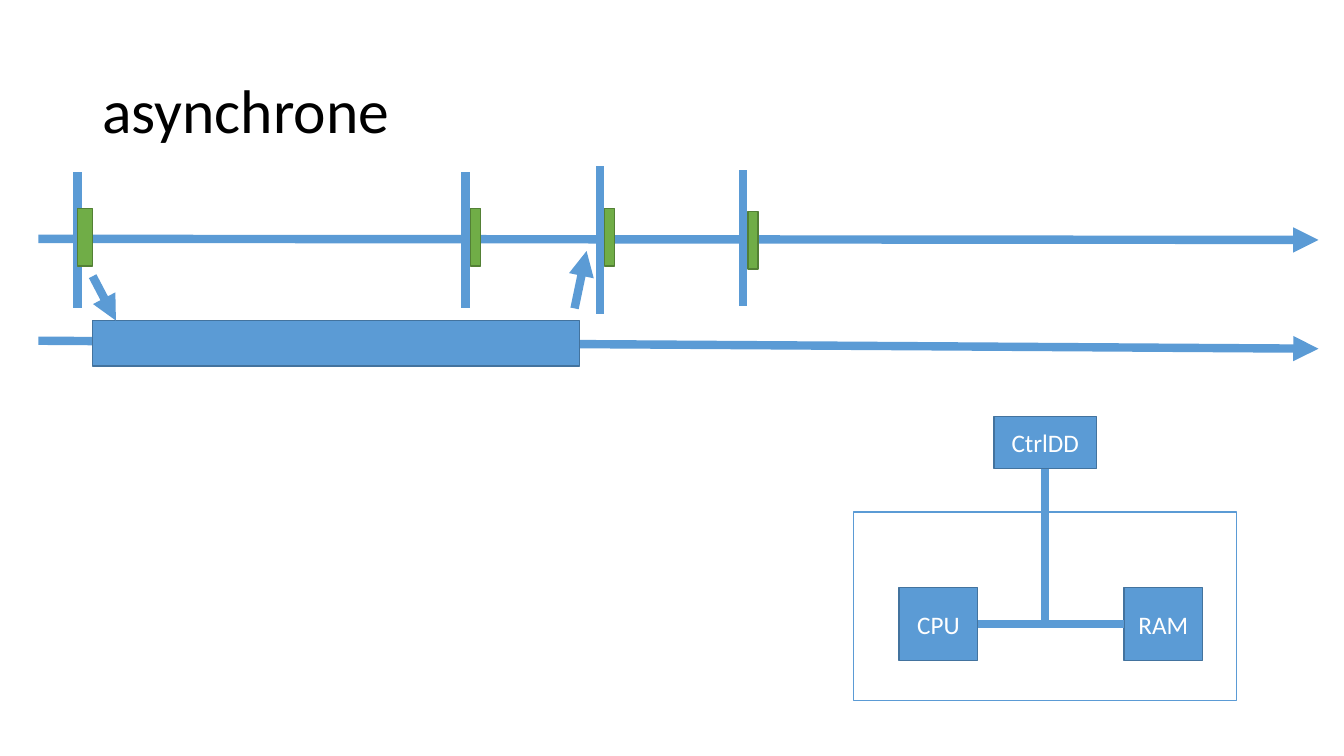
from dataclasses import dataclass

from lxml import etree
from pptx import Presentation
from pptx.dml.color import RGBColor
from pptx.enum.shapes import MSO_CONNECTOR, MSO_SHAPE
from pptx.enum.text import MSO_ANCHOR, PP_ALIGN
from pptx.oxml.ns import qn
from pptx.slide import Slide
from pptx.text.text import TextFrame
from pptx.util import Pt

RECTANGLE = MSO_SHAPE.RECTANGLE
STRAIGHT = MSO_CONNECTOR.STRAIGHT
MIDDLE = MSO_ANCHOR.MIDDLE
LEFT, CENTER = PP_ALIGN.LEFT, PP_ALIGN.CENTER

FONT = "Calibri"
BLACK, WHITE = "000000", "FFFFFF"
BLUE, DARK_BLUE = "5B9BD5", "43739E"
GREEN, DARK_GREEN = "70AD47", "538035"


@dataclass
class Block:
    left: float
    top: float
    width: float
    height: float
    label: str = ""
    fill: str = BLUE
    outline: str = DARK_BLUE


@dataclass
class Link:
    x1: float
    y1: float
    x2: float
    y2: float
    arrow: bool = False


@dataclass
class Interrupt:
    x: float
    top: float
    bottom: float
    task_left: float
    task_top: float
    task_width: float = 7.2


TIMELINE_START, TIMELINE_END = 27.4, 941.8
TASK_HEIGHT = 41
BUS_Y, BUS_X = 445.7, 746.6

INTERRUPTS = [
    Interrupt(55.4, 123.1, 220.3, 55.4, 149, 10.8),
    Interrupt(332.6, 123.1, 220.3, 336.2, 149),
    Interrupt(530.6, 121.7, 218.9, 534.2, 151.2),
    Interrupt(428.4, 118.8, 224.6, 432, 149),
]
PROCESSOR_TIMELINE = Link(TIMELINE_START, 170.6, TIMELINE_END, 171.4, True)
DISK_TIMELINE = [
    Link(TIMELINE_START, 243.4, TIMELINE_END, 249.1, True),
    Block(66.2, 229, 347.8, 32.4),
    Link(66.2, 197.3, 82.8, 229, True),
    Link(410.4, 220.3, 419, 179.3, True),
]
COMPUTER = [
    Block(609.8, 365.8, 273.6, 134.6, fill=WHITE, outline=BLUE),
    Block(642.2, 419.8, 56.2, 51.8, "CPU"),
    Block(802.8, 419.8, 56.2, 51.8, "RAM"),
    Link(698.4, BUS_Y, 802.8, BUS_Y),
    Link(BUS_X, BUS_Y, BUS_X, 332.6),
    Block(709.9, 297.4, 73.4, 37.4, "CtrlDD"),
]


def color(value: str) -> RGBColor:
    return RGBColor.from_string(value)


def write(frame: TextFrame, text: str, size: float, text_color: str, align: PP_ALIGN) -> None:
    frame.word_wrap = True
    frame.vertical_anchor = MIDDLE
    para = frame.paragraphs[0]
    para.text = text
    para.alignment = align
    para.font.name = FONT
    para.font.size = Pt(size)
    para.font.color.rgb = color(text_color)


def draw_block(page: Slide, block: Block) -> None:
    box = page.shapes.add_shape(
        RECTANGLE, Pt(block.left), Pt(block.top), Pt(block.width), Pt(block.height)
    )
    box.shadow.inherit = False
    box.fill.solid()
    box.fill.fore_color.rgb = color(block.fill)
    box.line.color.rgb = color(block.outline)
    box.line.width = Pt(1)
    if block.label:
        write(box.text_frame, block.label, 18, WHITE, CENTER)


def draw_link(page: Slide, link: Link) -> None:
    connector = page.shapes.add_connector(
        STRAIGHT, Pt(link.x1), Pt(link.y1), Pt(link.x2), Pt(link.y2)
    )
    connector.line.color.rgb = color(BLUE)
    connector.line.width = Pt(6)
    properties = connector._element.spPr
    if link.arrow:
        etree.SubElement(properties.find(qn("a:ln")), qn("a:tailEnd"), type="triangle")
    etree.SubElement(properties, qn("a:effectLst"))


def draw_interrupt(page: Slide, event: Interrupt) -> None:
    draw_link(page, Link(event.x, event.top, event.x, event.bottom))
    task = Block(
        event.task_left, event.task_top, event.task_width, TASK_HEIGHT,
        fill=GREEN, outline=DARK_GREEN,
    )
    draw_block(page, task)


def draw_title(page: Slide, text: str) -> None:
    box = page.shapes.add_textbox(Pt(66), Pt(28.8), Pt(828), Pt(104.4))
    write(box.text_frame, text, 44, BLACK, LEFT)
    box.text_frame.paragraphs[0].line_spacing = 0.9


def main() -> None:
    deck = Presentation()
    deck.slide_width, deck.slide_height = Pt(960), Pt(540)
    page = deck.slides.add_slide(deck.slide_layouts[6])
    draw_title(page, "asynchrone")
    draw_link(page, PROCESSOR_TIMELINE)
    for event in INTERRUPTS:
        draw_interrupt(page, event)
    for part in COMPUTER + DISK_TIMELINE:
        if isinstance(part, Block):
            draw_block(page, part)
        else:
            draw_link(page, part)
    deck.save("out.pptx")


if __name__ == "__main__":
    main()
